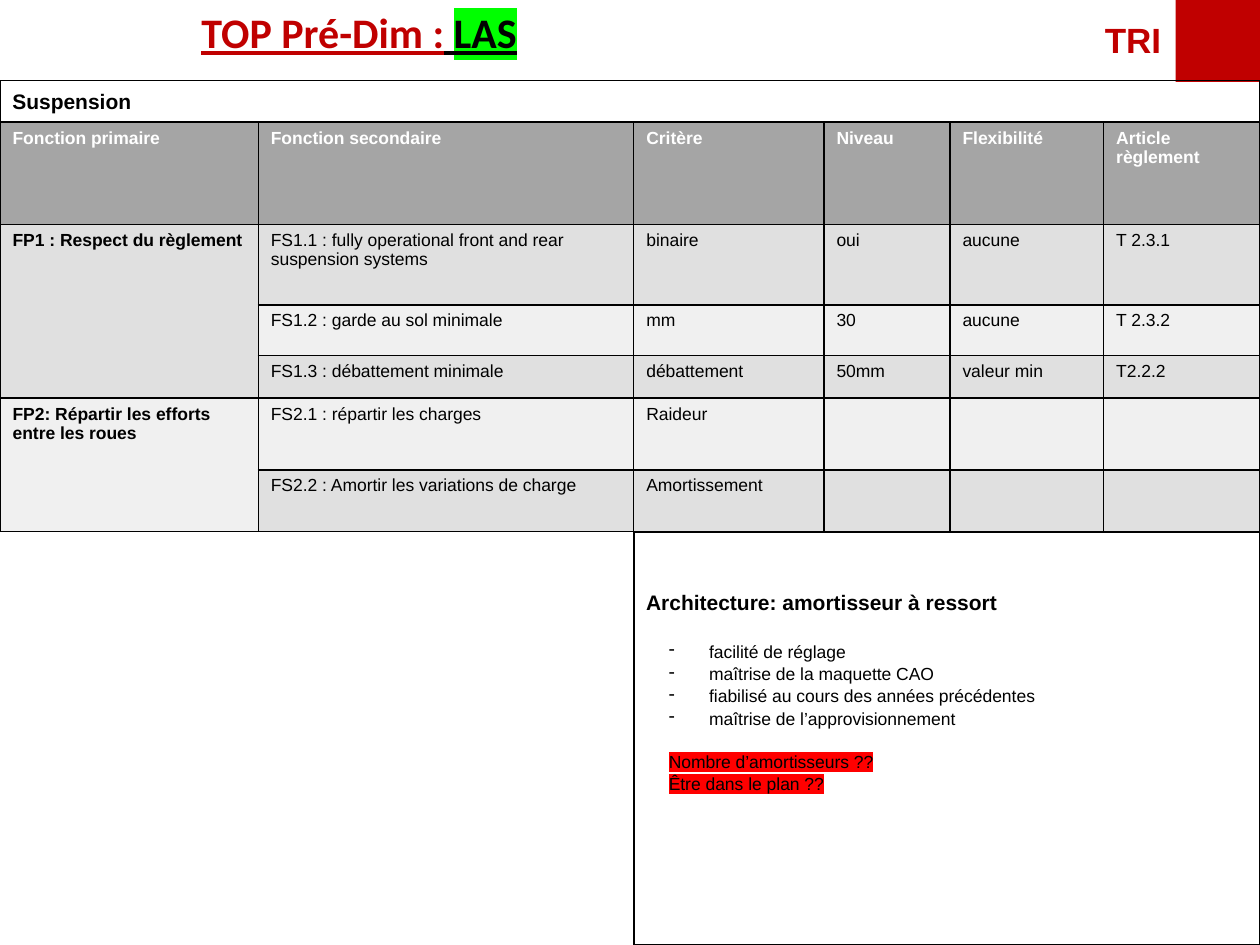
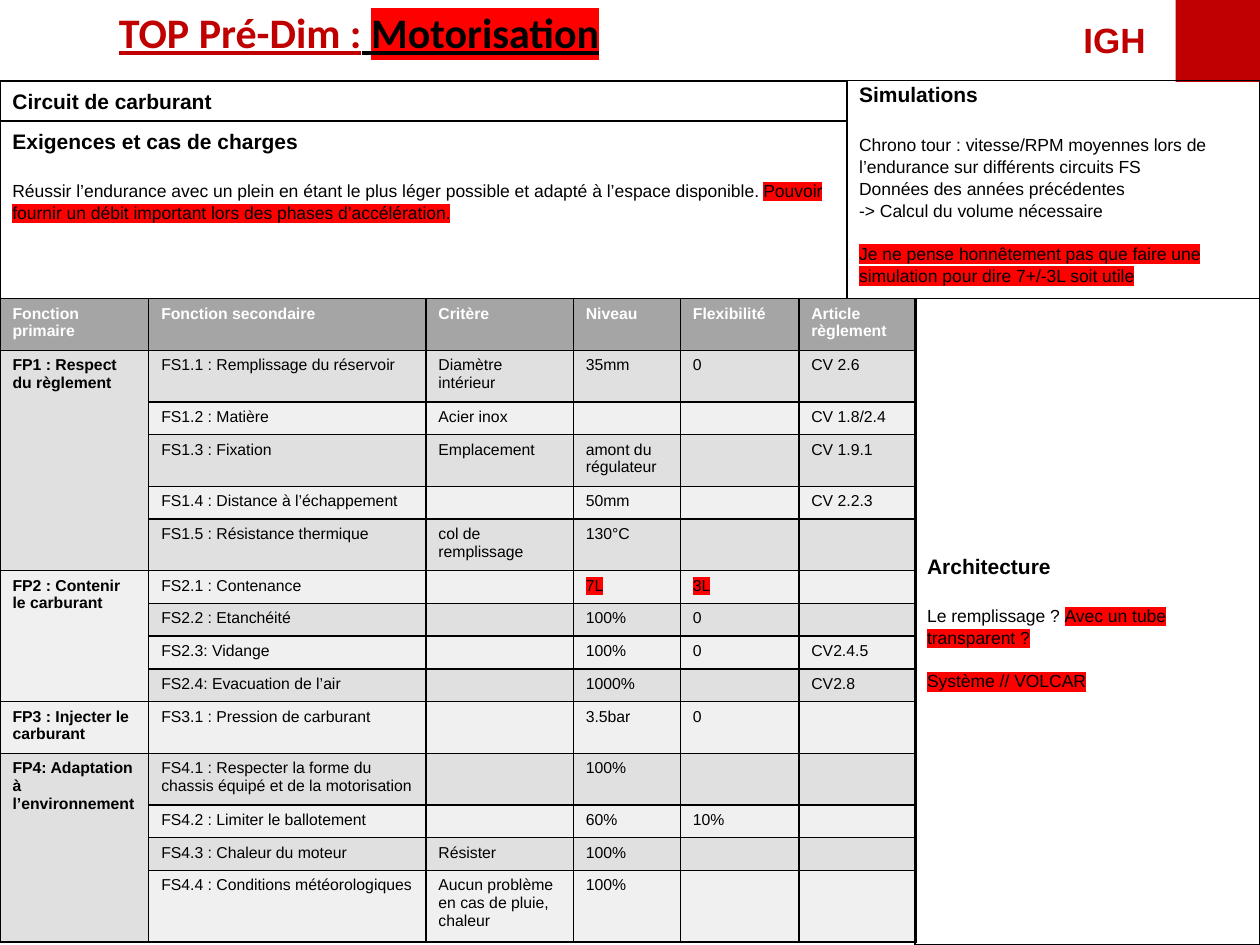
from pptx import Presentation
from pptx.dml.color import RGBColor
from pptx.enum.shapes import MSO_SHAPE as Shape
from pptx.enum.text import MSO_ANCHOR as Anchor, PP_ALIGN as Align
from pptx.oxml.ns import qn
from pptx.util import Inches, Pt
from lxml.etree import SubElement, Element

COLORS = {
    "red": "C00000", "black": "000000", "white": "FFFFFF", "header": "A5A5A5",
    "odd": "E0E0E0", "even": "F0F0F0", "alert": "FF0000", "ready": "00FF00",
}
HEADERS = ["Fonction primaire", "Fonction secondaire", "Critère", "Niveau",
           "Flexibilité", "Article règlement"]
HEADING_GAP, BODY_GAP = 14.5, 12

SUSPENSION_COLUMNS = [2.05, 2.98, 1.51, 1, 1.22, 1.24]
SUSPENSION_HEIGHTS = [0.81, 0.64, 0.4, 0.34, 0.57, 0.49]
SUSPENSION_ROWS = [
    ["FP1 : Respect du règlement", "FS1.1 : fully operational front and rear suspension systems",
     "binaire", "oui", "aucune", "T 2.3.1"],
    ["", "FS1.2 : garde au sol minimale", "mm", "30", "aucune", "T 2.3.2"],
    ["", "FS1.3 : débattement minimale", "débattement", "50mm", "valeur min", "T2.2.2"],
    ["FP2: Répartir les efforts entre les roues", "FS2.1 : répartir les charges", "Raideur", "", "", ""],
    ["", "FS2.2 : Amortir les variations de charge", "Amortissement", "", "", ""],
]
FUEL_COLUMNS = [1.18, 2.2, 1.17, 0.85, 0.94, 0.93]
FUEL_HEIGHTS = [0.41, 0.41, 0.26, 0.41, 0.26, 0.41, 0.26, 0.26, 0.26, 0.26,
                0.41, 0.41, 0.26, 0.26, 0.57]
FUEL_ROWS = [
    ["FP1 : Respect du règlement", "FS1.1 : Remplissage du réservoir", "Diamètre intérieur", "35mm", "0", "CV 2.6"],
    ["", "FS1.2 : Matière", "Acier inox", "", "", "CV 1.8/2.4"],
    ["", "FS1.3 : Fixation", "Emplacement", "amont du régulateur", "", "CV 1.9.1"],
    ["", "FS1.4 : Distance à l’échappement", "", "50mm", "", "CV 2.2.3"],
    ["", "FS1.5 : Résistance thermique", "col de remplissage", "130°C", "", ""],
    ["FP2 : Contenir le carburant", "FS2.1 : Contenance", "", [("7L", "alert")], [("3L", "alert")], ""],
    ["", "FS2.2 : Etanchéité", "", "100%", "0", ""],
    ["", "FS2.3: Vidange", "", "100%", "0", "CV2.4.5"],
    ["", "FS2.4: Evacuation de l’air", "", "1000%", "", "CV2.8"],
    ["FP3 : Injecter le carburant", "FS3.1 : Pression de carburant", "", "3.5bar", "0", ""],
    ["FP4: Adaptation à l’environnement",
     "FS4.1 : Respecter la forme du chassis équipé et de la motorisation", "", "100%", "", ""],
    ["", "FS4.2 : Limiter le ballotement", "", "60%", "10%", ""],
    ["", "FS4.3 : Chaleur du moteur", "Résister", "100%", "", ""],
    ["", "FS4.4 : Conditions météorologiques", "Aucun problème en cas de pluie, chaleur", "100%", "", ""],
]


def rgb(name):
    """Return the named palette colour."""
    return RGBColor.from_string(COLORS[name])


def add_fill(parent, name):
    """Append a solid fill in a palette colour to an XML element."""
    SubElement(SubElement(parent, qn("a:solidFill")), qn("a:srgbClr"), val=COLORS[name])


def add_run(paragraph, text, size, color="black", bold=False, mark=None, font="Arial", underline=None):
    """Add one formatted run, highlighted when a mark colour is named."""
    run = paragraph.add_run()
    run.text = text
    run.font.size, run.font.bold, run.font.underline = Pt(size), bold, underline
    run.font.name = font
    run.font.color.rgb = rgb(color)
    if mark:
        highlight = Element(qn("a:highlight"))
        SubElement(highlight, qn("a:srgbClr"), val=COLORS[mark])
        run.font._element.find(qn("a:solidFill")).addnext(highlight)


def add_runs(paragraph, content, size, **style):
    """Add plain text or a list of (text, mark) pairs."""
    pairs = [(content, None)] if isinstance(content, str) else content
    for text, mark in pairs:
        add_run(paragraph, text, size, mark=mark, **style)


def set_indent(paragraph, left, hanging=0, dash=False):
    """Indent a paragraph, with a dash bullet if wanted."""
    properties = paragraph._p.get_or_add_pPr()
    properties.set("marL", str(Inches(left)))
    properties.set("indent", str(Inches(-hanging)))
    if dash:
        color = SubElement(properties, qn("a:buClr"))
        SubElement(color, qn("a:srgbClr"), val=COLORS["black"])
        SubElement(properties, qn("a:buChar"), char="-")


def add_panel(slide, box, heading, lines=(), anchor=Anchor.TOP, top_inset=0.05):
    """Draw an outlined panel with a heading and (content, gap, indent) lines."""
    panel = slide.shapes.add_shape(Shape.RECTANGLE, *map(Inches, box))
    panel.shadow.inherit = False
    panel.fill.background()
    panel.line.color.rgb = rgb("black")
    panel.line.width = Pt(1)
    frame = panel.text_frame
    frame.word_wrap = True
    frame.vertical_anchor = anchor
    frame.margin_top = Inches(top_inset)
    add_run(frame.paragraphs[0], heading, 12, bold=True)
    for content, gap, indent in lines:
        paragraph = frame.add_paragraph()
        if indent:
            set_indent(paragraph, *indent)
        if gap:
            paragraph.space_before = Pt(gap)
        add_runs(paragraph, content, 10)
    for paragraph in frame.paragraphs:
        paragraph.alignment = Align.LEFT
        paragraph.line_spacing = 1.05


def add_banner(slide, subject, mark, author, author_left):
    """Place the title, the author initials and the red corner block."""
    title = slide.shapes.title
    title.left, title.top, title.width, title.height = map(Inches, (0, 0, 5.7, 0.5))
    frame = title.text_frame
    frame.vertical_anchor = Anchor.TOP
    frame.word_wrap = True
    paragraph = frame.paragraphs[0]
    paragraph.alignment = Align.CENTER
    for text, color, highlight in (("TOP Pré-Dim :", "red", None), (" ", "black", None), (subject, "black", mark)):
        add_run(paragraph, text, 24, color, True, highlight, "Calibri", True)

    initials = slide.shapes.add_textbox(*map(Inches, (author_left, 0.1, 9.33 - author_left, 0.44)))
    add_run(initials.text_frame.paragraphs[0], author, 20, "red", True)

    corner = slide.shapes.add_shape(Shape.RECTANGLE, *map(Inches, (9.33, 0, 0.67, 0.65)))
    corner.shadow.inherit = False
    corner.fill.solid()
    corner.fill.fore_color.rgb = rgb("red")
    corner.line.fill.background()


def style_cell(cell, content, size, fill, color, bold):
    """Write, border and fill one table cell."""
    paragraph = cell.text_frame.paragraphs[0]
    if content:
        add_runs(paragraph, content, size, color=color, bold=bold)
    else:
        SubElement(paragraph._p, qn("a:endParaRPr"), sz=str(size * 100))
    properties = cell._tc.get_or_add_tcPr()
    for side in ("lnL", "lnR", "lnT", "lnB"):
        add_fill(SubElement(properties, qn(f"a:{side}"), w=str(Pt(1))), "black")
    cell.fill.solid()
    cell.fill.fore_color.rgb = rgb(fill)


def add_requirements(slide, left, top, columns, heights, rows, size):
    """Build the requirements table, merging each primary function downwards."""
    box = map(Inches, (left, top, sum(columns), sum(heights)))
    table = slide.shapes.add_table(len(heights), len(columns), *box).table
    table.first_row = table.horz_banding = False
    for column, width in zip(table.columns, columns):
        column.width = Inches(width)
    for row, height in zip(table.rows, heights):
        row.height = Inches(height)
    for r, contents in enumerate([HEADERS] + rows):
        fill = "header" if r == 0 else "odd" if r % 2 else "even"
        for c, content in enumerate(contents):
            style_cell(table.cell(r, c), content, size, fill,
                       "black" if r else "white", r == 0 or c == 0)
    starts = [r for r, contents in enumerate(rows, 1) if contents[0]]
    for start, following in zip(starts, starts[1:] + [len(heights)]):
        if following - start > 1:
            table.cell(start, 0).merge(table.cell(following - 1, 0))


def build_suspension(slide):
    """Fill the suspension slide."""
    add_banner(slide, "LAS", "ready", "TRI", 8.67)
    dash = (0.5, 0.32, True)
    add_panel(slide, (5.03, 4.22, 4.97, 3.28), "Architecture: amortisseur à ressort", [
        ("facilité de réglage", HEADING_GAP, dash),
        ("maîtrise de la maquette CAO", 0, dash),
        ("fiabilisé au cours des années précédentes", 0, dash),
        ("maîtrise de l’approvisionnement", 0, dash),
        ([("Nombre d’amortisseurs ??", "alert")], BODY_GAP, (0.18,)),
        ([("Être dans le plan ??", "alert")], 0, (0.18,)),
    ], top_inset=0.45)
    add_requirements(slide, 0, 0.97, SUSPENSION_COLUMNS, SUSPENSION_HEIGHTS, SUSPENSION_ROWS, 10)
    add_panel(slide, (0, 0.64, 10, 0.33), "Suspension")


def build_fuel_circuit(slide):
    """Fill the fuel circuit slide."""
    add_banner(slide, "Motorisation", "alert", "IGH", 8.5)
    add_panel(slide, (0, 0.64, 6.72, 0.32), "Circuit de carburant")
    add_panel(slide, (0, 0.96, 6.72, 1.41), "Exigences et cas de charges", [
        ([("Réussir l’endurance avec un plein en étant le plus léger possible et adapté à l’espace disponible. ", None),
          ("Pouvoir fournir un débit important lors des phases d’accélération.", "alert")], HEADING_GAP, None),
    ])
    add_panel(slide, (6.72, 0.64, 3.28, 1.73), "Simulations", [
        ("Chrono tour : vitesse/RPM moyennes lors de l’endurance sur différents circuits FS", HEADING_GAP, None),
        ("Données des années précédentes", 0, None),
        ("-> Calcul du volume nécessaire", 0, None),
        ([("Je ne pense honnêtement pas que faire une simulation pour dire 7+/-3L soit utile", "alert")],
         BODY_GAP, None),
    ], top_inset=0)
    add_requirements(slide, 0, 2.37, FUEL_COLUMNS, FUEL_HEIGHTS, FUEL_ROWS, 9)
    add_panel(slide, (7.26, 2.37, 2.74, 5.13), "Architecture", [
        ([("Le remplissage ? ", None), ("Avec un tube transparent ?", "alert")], HEADING_GAP, None),
        ([("Système // VOLCAR", "alert")], BODY_GAP, None),
    ], Anchor.MIDDLE)


def main():
    """Build and save the presentation."""
    deck = Presentation()
    deck.slide_width, deck.slide_height = Inches(10), Inches(7.5)
    for build in (build_suspension, build_fuel_circuit):
        build(deck.slides.add_slide(deck.slide_layouts[5]))
    deck.save("out.pptx")


if __name__ == "__main__":
    main()
